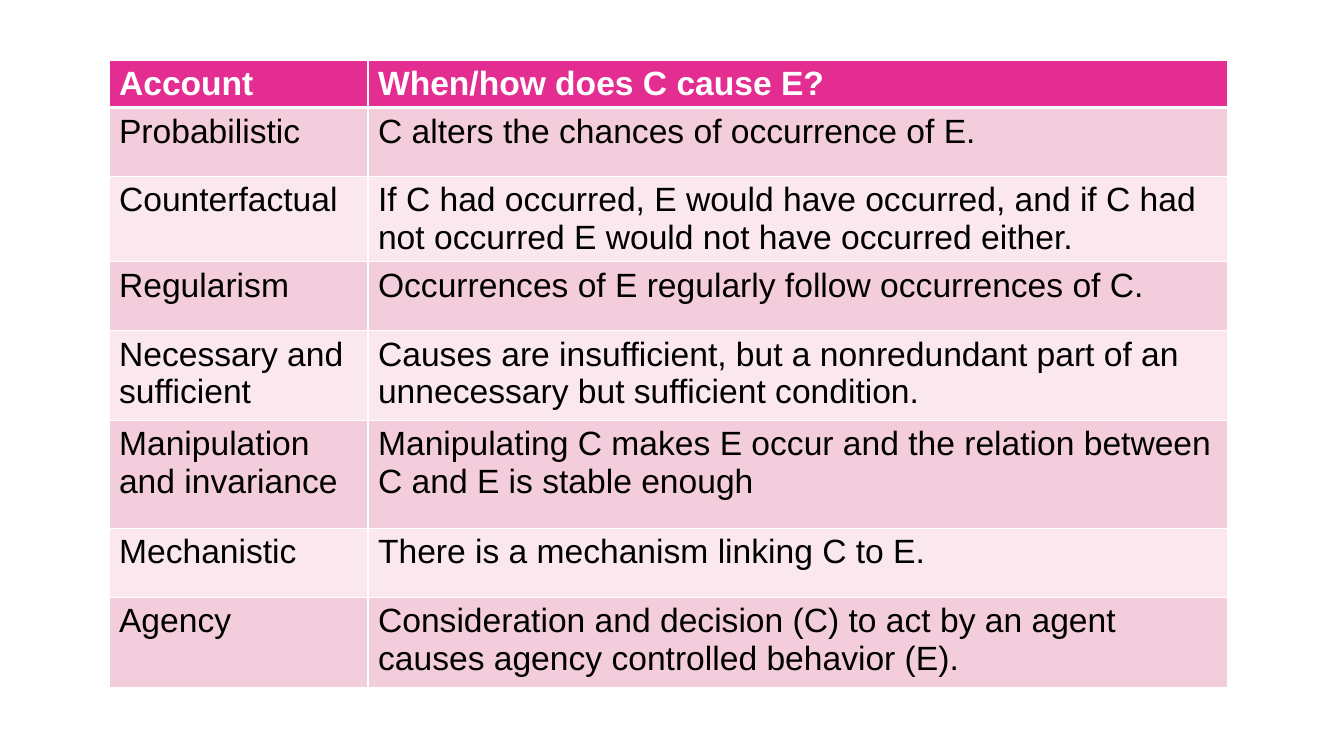
from lxml.etree import SubElement
from pptx import Presentation
from pptx.dml.color import RGBColor
from pptx.oxml.ns import qn
from pptx.util import Emu, Pt

PX_PER_INCH = 100.8
HEADER_FILL, ODD_FILL, EVEN_FILL = "E32D91", "F4CDDC", "FAE8EE"
WHITE, BLACK = "FFFFFF", "000000"

ACCOUNTS = [
    ("Account", "When/how does C cause E?"),
    ("Probabilistic", "C alters the chances of occurrence of E."),
    ("Counterfactual", "If C had occurred, E would have occurred, and if C had "
     "not occurred E would not have occurred either."),
    ("Regularism", "Occurrences of E regularly follow occurrences of C."),
    ("Necessary and sufficient", "Causes are insufficient, but a nonredundant "
     "part of an unnecessary but sufficient condition."),
    ("Manipulation and invariance", "Manipulating C makes E occur and the "
     "relation between C and E is stable enough"),
    ("Mechanistic", "There is a mechanism linking C to E."),
    ("Agency", "Consideration and decision (C) to act by an agent causes "
     "agency controlled behavior (E)."),
]
ROW_HEIGHTS = [43, 69, 76, 69, 90, 108, 69, 90]
ACCOUNT_WIDTH = 259


def px(length):
    return Emu(round(length * 914400 / PX_PER_INCH))


def color(hex_string):
    return RGBColor.from_string(hex_string)


def add_borders(cell, top, bottom):
    """Draw white cell borders; top and bottom are widths in points."""
    properties = cell._tc.get_or_add_tcPr()
    for side, width in (("L", 1), ("R", 1), ("T", top), ("B", bottom)):
        border = SubElement(properties, qn(f"a:ln{side}"), w=str(Pt(width)))
        solid = SubElement(border, qn("a:solidFill"))
        SubElement(solid, qn("a:srgbClr"), val=WHITE)


def fill_cell(cell, text, row):
    is_header = row == 0
    add_borders(cell, top=3 if row == 1 else 1, bottom=3 if is_header else 1)
    cell.fill.solid()
    body_fill = ODD_FILL if row % 2 else EVEN_FILL
    cell.fill.fore_color.rgb = color(HEADER_FILL if is_header else body_fill)
    run = cell.text_frame.paragraphs[0].add_run()
    run.text = text
    run.font.name = "Arial"
    run.font.size = Pt(24)
    run.font.bold = is_header
    run.font.color.rgb = color(WHITE if is_header else BLACK)


def add_accounts_table(slide, left, top, width):
    frame = slide.shapes.add_table(len(ACCOUNTS), 2, px(left), px(top),
                                   px(width), px(sum(ROW_HEIGHTS)))
    table = frame.table
    table.columns[0].width = px(ACCOUNT_WIDTH)
    table.columns[1].width = px(width - ACCOUNT_WIDTH)
    for row, (texts, height) in enumerate(zip(ACCOUNTS, ROW_HEIGHTS)):
        table.rows[row].height = px(height)
        for column, text in enumerate(texts):
            fill_cell(table.cell(row, column), text, row)


def main():
    presentation = Presentation()
    presentation.slide_width, presentation.slide_height = px(1344), px(756)
    slide = presentation.slides.add_slide(presentation.slide_layouts[6])
    add_accounts_table(slide, left=109, top=60, width=1119)
    presentation.save("out.pptx")


if __name__ == "__main__":
    main()
